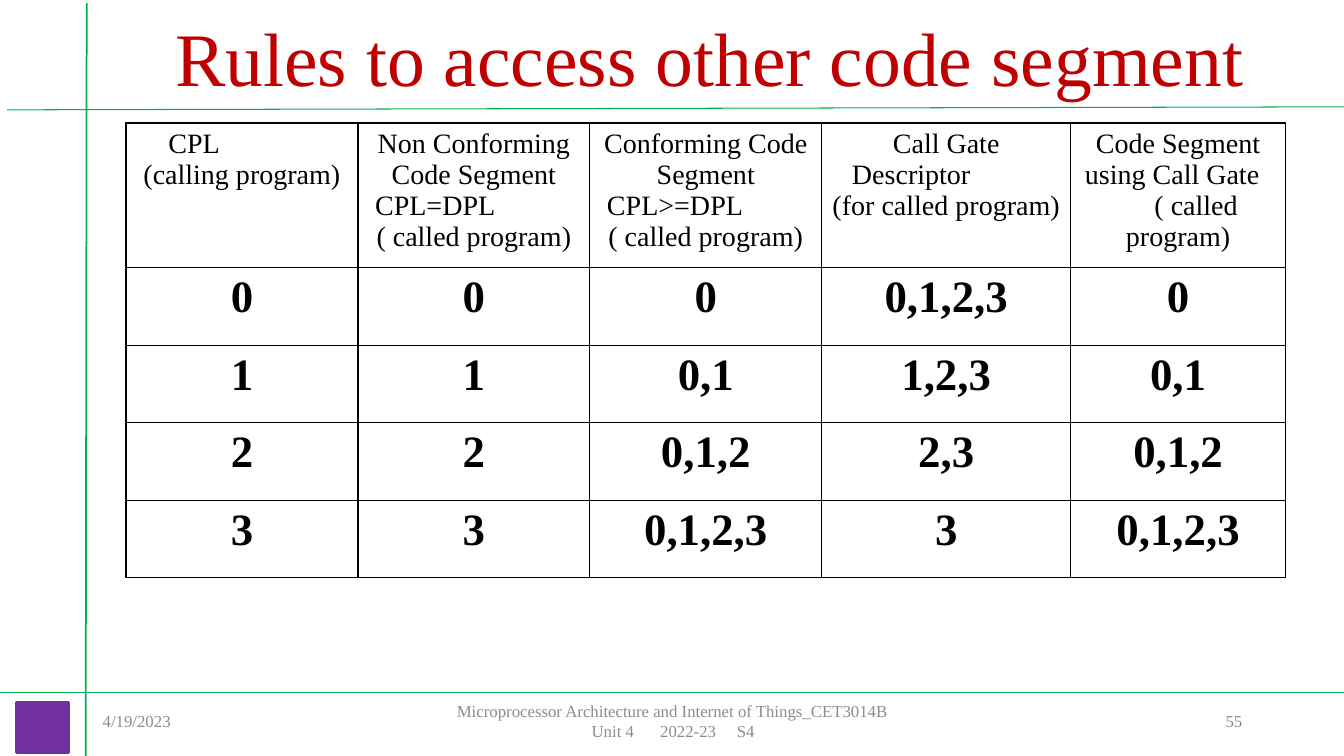
from lxml import etree
from pptx import Presentation, util as u
from pptx.dml.color import RGBColor
from pptx.enum import shapes, text
from pptx.oxml.ns import qn

FONT = "Times New Roman"
GREEN, PURPLE, RED, GREY, BLACK = "00B050", "7030A0", "C00000", "8C8C8C", "000000"
LEFT, CENTER, RIGHT = text.PP_ALIGN.LEFT, text.PP_ALIGN.CENTER, text.PP_ALIGN.RIGHT

# Each heading line is its text and its indent in inches; None centres it.
HEADINGS = [
    [("CPL", 0.32), ("(calling program)", None)],
    [("Non Conforming Code Segment", None), ("CPL=DPL", 0.07), ("( called program)", None)],
    [("Conforming Code Segment", None), ("CPL>=DPL", 0.07), ("( called program)", None)],
    [("Call Gate", None), ("Descriptor", 0.2), ("(for called program)", None)],
    [("Code Segment", None), ("using Call Gate", 0.04), ("( called", 0.73), ("program)", None)],
]
RULES = [
    ["0", "0", "0", "0,1,2,3", "0"],
    ["1", "1", "0,1", "1,2,3", "0,1"],
    ["2", "2", "0,1,2", "2,3", "0,1,2"],
    ["3", "3", "0,1,2,3", "3", "0,1,2,3"],
]
COLUMN_WIDTHS = [2.3, 2.3, 2.3, 2.47, 2.13]
HEADING_HEIGHT, RULE_HEIGHT = 1.33, 0.77


def color(value):
    return RGBColor.from_string(value)


def write(paragraph, content, size, fill=BLACK, bold=False, align=LEFT,
          indent=0, tabs=(), spacing=None):
    paragraph.alignment = align
    if spacing:
        paragraph.line_spacing = spacing
    properties = paragraph._p.get_or_add_pPr()
    if indent:
        properties.set("marL", str(u.Inches(indent)))
        properties.set("indent", "0")
    if tabs:
        stops = etree.SubElement(properties, qn("a:tabLst"))
        for position in tabs:
            etree.SubElement(stops, qn("a:tab"), pos=str(u.Inches(position)), algn="l")
    run = paragraph.add_run()
    run.text = content
    run.font.name, run.font.size, run.font.bold = FONT, u.Pt(size), bold
    run.font.color.rgb = color(fill)


def add_text_frame(slide, left, top, width, height):
    box = slide.shapes.add_textbox(*map(u.Inches, (left, top, width, height)))
    frame = box.text_frame
    frame.word_wrap = True
    frame.vertical_anchor = text.MSO_ANCHOR.MIDDLE
    return frame


def add_rule_line(slide, start, end, width):
    line = slide.shapes.add_connector(
        shapes.MSO_CONNECTOR.STRAIGHT, *map(u.Inches, (*start, *end)))
    line.line.color.rgb = color(GREEN)
    line.line.width = u.Pt(width)
    etree.SubElement(line._element.spPr, qn("a:effectLst"))


def add_frame_lines(slide, width, height):
    add_rule_line(slide, (0.07, 1.09), (width, 1.06), 0.75)
    add_rule_line(slide, (0.86, 0.03), (0.85, height), 1.25)
    add_rule_line(slide, (0, 6.87), (width, 6.87), 1.25)


def add_title(slide, left, top, width, height):
    frame = add_text_frame(slide, left, top, width, height)
    write(frame.paragraphs[0], "Rules to access other code segment", 54, RED, spacing=0.9)


def add_footer(slide, left, top, height):
    date = add_text_frame(slide, left, top, 3, height)
    write(date.paragraphs[0], "4/19/2023", 12, GREY)
    course = add_text_frame(slide, left + 3.5, top, 4.5, height)
    write(course.paragraphs[0], "Microprocessor Architecture and Internet of Things_CET3014B",
          12, GREY, align=CENTER)
    write(course.add_paragraph(), "\tUnit 4\t2022-23\tS4", 12, GREY, tabs=(1.35, 2.03, 2.79))
    number = add_text_frame(slide, left + 8.5, top, 3, height)
    write(number.paragraphs[0], "55", 12, GREY, align=RIGHT)


def add_corner_square(slide, left, top, width, height):
    square = slide.shapes.add_shape(
        shapes.MSO_SHAPE.RECTANGLE, *map(u.Inches, (left, top, width, height)))
    square.shadow.inherit = False
    square.fill.solid()
    square.fill.fore_color.rgb = color(PURPLE)
    square.line.color.rgb = color(PURPLE)
    square.line.width = u.Pt(2)


def style_cell(cell):
    """Draw black borders, then a white fill, in the order the schema asks for."""
    properties = cell._tc.get_or_add_tcPr()
    for side in ("a:lnL", "a:lnR", "a:lnT", "a:lnB"):
        border = etree.SubElement(properties, qn(side), w=str(u.Pt(1)))
        fill = etree.SubElement(border, qn("a:solidFill"))
        etree.SubElement(fill, qn("a:srgbClr"), val=BLACK)
    cell.fill.solid()
    cell.fill.fore_color.rgb = color("FFFFFF")


def add_rules_table(slide, left, top):
    heights = [HEADING_HEIGHT] + [RULE_HEIGHT] * len(RULES)
    table = slide.shapes.add_table(
        len(heights), len(COLUMN_WIDTHS), u.Inches(left), u.Inches(top),
        u.Inches(sum(COLUMN_WIDTHS)), u.Inches(sum(heights))).table
    table.first_row = table.horz_banding = False
    for column, width in zip(table.columns, COLUMN_WIDTHS):
        column.width = u.Inches(width)
    for row, height in zip(table.rows, heights):
        row.height = u.Inches(height)
    for cell in table.iter_cells():
        style_cell(cell)
    for column, lines in enumerate(HEADINGS):
        frame = table.cell(0, column).text_frame
        for index, (line, indent) in enumerate(lines):
            paragraph = frame.add_paragraph() if index else frame.paragraphs[0]
            write(paragraph, line, 20, indent=indent or 0,
                  align=CENTER if indent is None else LEFT)
    for row, values in enumerate(RULES, start=1):
        for column, value in enumerate(values):
            paragraph = table.cell(row, column).text_frame.paragraphs[0]
            write(paragraph, value, 32, bold=True, align=CENTER)


def main():
    width, height = 13.33, 7.5
    presentation = Presentation()
    presentation.slide_width, presentation.slide_height = u.Inches(width), u.Inches(height)
    slide = presentation.slides.add_slide(presentation.slide_layouts[6])
    add_title(slide, 1.64, 0.29, 11.69, 0.66)
    add_footer(slide, 0.92, 6.95, 0.4)
    add_rules_table(slide, 1.25, 1.22)
    add_corner_square(slide, 0.16, 6.97, 0.52, 0.5)
    add_frame_lines(slide, width, height)
    presentation.save("out.pptx")


if __name__ == "__main__":
    main()
